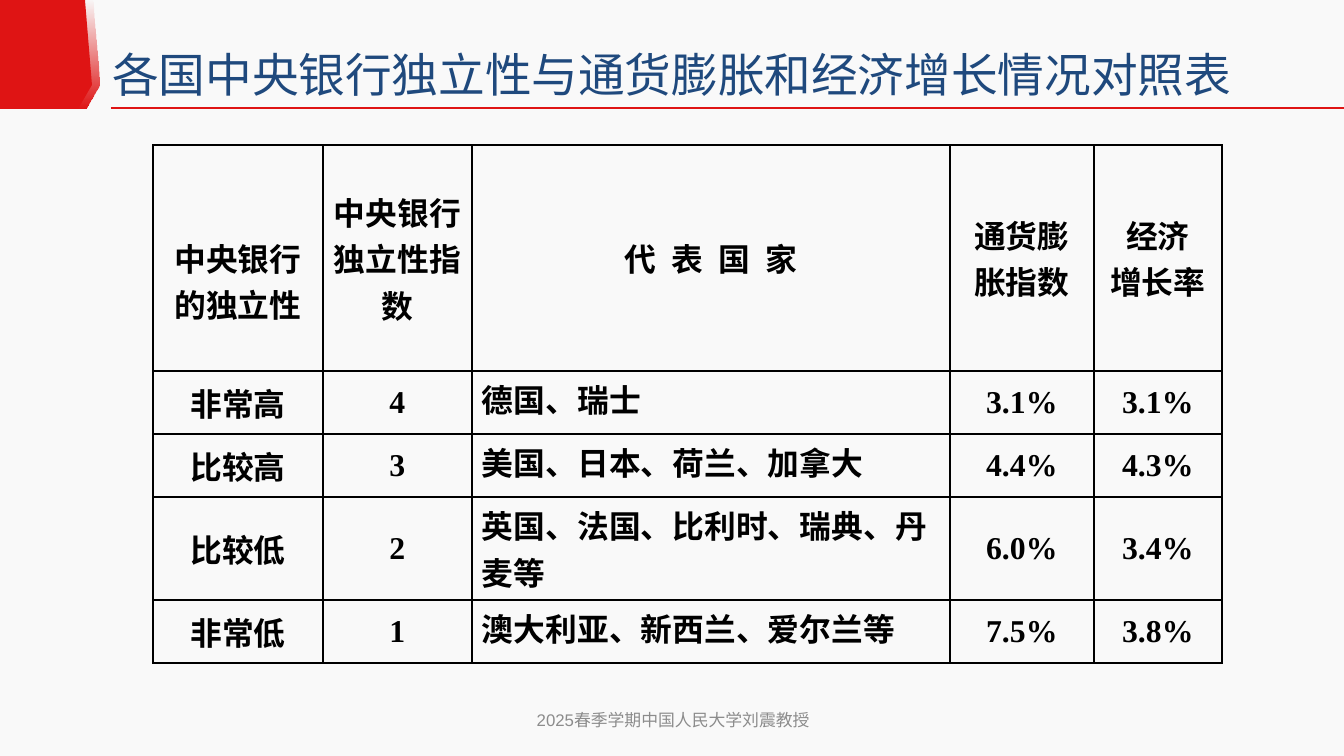
from dataclasses import dataclass

from lxml import etree
from pptx import Presentation
from pptx.dml.color import RGBColor
from pptx.enum.shapes import MSO_CONNECTOR
from pptx.enum.text import MSO_ANCHOR, MSO_AUTO_SIZE, PP_ALIGN
from pptx.oxml.ns import qn
from pptx.util import Pt

EMU_PER_PX = 914400 / 134.4
STRAIGHT = MSO_CONNECTOR.STRAIGHT
TOP, MIDDLE = MSO_ANCHOR.TOP, MSO_ANCHOR.MIDDLE
LEFT, CENTER = PP_ALIGN.LEFT, PP_ALIGN.CENTER
FIXED_SIZE = MSO_AUTO_SIZE.NONE


@dataclass(frozen=True)
class Theme:
    background: str = "F9F9F9"
    accent: str = "DF1414"
    title: str = "1F497D"
    ink: str = "000000"
    footer: str = "8C8C8C"
    sans: str = "Arial"
    serif: str = "Times New Roman"
    title_size: int = 25
    table_size: int = 17
    footer_size: int = 9
    rule_width: float = 0.75
    border_width: int = 1


THEME = Theme()
COLUMN_WIDTHS = [170, 149, 478, 144, 128]
ROW_HEIGHTS = [226, 63, 63, 103, 63]
COUNTRY_COLUMN = 2
COUNTRY_HEADING = "代 表 国 家"
TABLE_ROWS = [
    ["中央银行\n的独立性", "中央银行独立性指数", COUNTRY_HEADING, "通货膨胀指数", "经济\n增长率"],
    ["非常高", "4", "德国、瑞士", "3.1%", "3.1%"],
    ["比较高", "3", "美国、日本、荷兰、加拿大", "4.4%", "4.3%"],
    ["比较低", "2", "英国、法国、比利时、瑞典、丹麦等", "6.0%", "3.4%"],
    ["非常低", "1", "澳大利亚、新西兰、爱尔兰等", "7.5%", "3.8%"],
]


def px(length):
    return round(length * EMU_PER_PX)


def rgb(color):
    return RGBColor.from_string(color)


def apply_format(target, values):
    for name, value in values.items():
        setattr(target, name, value)


def place(shape, left, top, width, height):
    apply_format(shape, {"left": px(left), "top": px(top), "width": px(width), "height": px(height)})


def write_text(text_frame, text, alignment, color, font_values):
    text_frame.text = text
    for paragraph in text_frame.paragraphs:
        paragraph.alignment = alignment
        for run in paragraph.runs:
            apply_format(run.font, font_values)
            run.font.color.rgb = rgb(color)


def write_label(shape, text, color, size):
    apply_format(shape.text_frame, {
        "word_wrap": True, "auto_size": FIXED_SIZE, "vertical_anchor": MIDDLE,
        "margin_left": 0, "margin_right": 0, "margin_top": 0, "margin_bottom": 0,
    })
    write_text(shape.text_frame, text, CENTER, color, {"name": THEME.sans, "size": Pt(size)})


def add_flag(slide, left):
    builder = slide.shapes.build_freeform(left, 0, scale=EMU_PER_PX)
    outline = [(85, 0), (92, 85), (78, 109), (0, 109)]
    builder.add_line_segments([(left + x, y) for x, y in outline], close=True)
    flag = builder.convert_to_shape()
    flag.shadow.inherit = False
    flag.line.fill.background()
    return flag


def fill_solid(shape):
    shape.fill.solid()
    shape.fill.fore_color.rgb = rgb(THEME.accent)


def fill_fading_up(shape):
    shape.fill.gradient()
    shape.fill.gradient_angle = 90
    for stop in shape.fill.gradient_stops:
        stop.color.rgb = rgb(THEME.accent)
    last_color = list(shape.element.iter(qn("a:srgbClr")))[-1]
    etree.SubElement(last_color, qn("a:alpha"), val="0")


def add_rule(slide, left, right, top):
    rule = slide.shapes.add_connector(STRAIGHT, px(left), px(top), px(right), px(top))
    rule.line.color.rgb = rgb(THEME.accent)
    rule.line.width = Pt(THEME.rule_width)
    etree.SubElement(rule.element.spPr, qn("a:effectLst"))


def set_borders(cell):
    properties = cell._tc.get_or_add_tcPr()
    for position, side in enumerate(("lnL", "lnR", "lnT", "lnB")):
        border = etree.Element(qn(f"a:{side}"), w=str(Pt(THEME.border_width)))
        fill = etree.SubElement(border, qn("a:solidFill"))
        etree.SubElement(fill, qn("a:srgbClr"), val=THEME.ink)
        properties.insert(position, border)


def fill_cell(cell, text, is_country):
    apply_format(cell, {
        "margin_left": px(10), "margin_right": px(10), "margin_top": px(5), "margin_bottom": px(5),
        "vertical_anchor": TOP if is_country else MIDDLE,
    })
    font_values = {"name": THEME.serif, "size": Pt(THEME.table_size), "bold": True}
    write_text(cell.text_frame, text, LEFT if is_country else CENTER, THEME.ink, font_values)
    cell.fill.background()
    set_borders(cell)


def add_comparison_table(slide, left, top):
    frame = slide.shapes.add_table(
        len(ROW_HEIGHTS), len(COLUMN_WIDTHS), px(left), px(top),
        px(sum(COLUMN_WIDTHS)), px(sum(ROW_HEIGHTS)))
    table = frame.table
    apply_format(table, {"first_row": False, "horz_banding": False})
    for column, width in zip(table.columns, COLUMN_WIDTHS):
        column.width = px(width)
    for row, height in zip(table.rows, ROW_HEIGHTS):
        row.height = px(height)
    for row_index, texts in enumerate(TABLE_ROWS):
        for column_index, text in enumerate(texts):
            is_country = row_index > 0 and column_index == COUNTRY_COLUMN
            fill_cell(table.cell(row_index, column_index), text, is_country)
    table.cell(0, 0).margin_top = px(51)
    heading = table.cell(0, COUNTRY_COLUMN).text_frame.paragraphs[0].runs[0]
    heading._r.get_or_add_rPr().set("spc", "210")


def main():
    presentation = Presentation()
    apply_format(presentation, {"slide_width": px(1344), "slide_height": px(756)})
    slide = presentation.slides.add_slide(presentation.slide_layouts[5])
    slide.background.fill.solid()
    slide.background.fill.fore_color.rgb = rgb(THEME.background)

    fill_fading_up(add_flag(slide, 7))
    fill_solid(add_flag(slide, 0))
    add_rule(slide, 111, 1344, 108)

    title = slide.shapes.title
    place(title, 84, 39, 1175, 70)
    write_label(title, "各国中央银行独立性与通货膨胀和经济增长情况对照表", THEME.title, THEME.title_size)

    add_comparison_table(slide, 153, 145)

    footer = slide.shapes.add_textbox(px(460), px(700), px(426), px(40))
    write_label(footer, "2025春季学期中国人民大学刘震教授", THEME.footer, THEME.footer_size)
    presentation.save("out.pptx")


if __name__ == "__main__":
    main()
